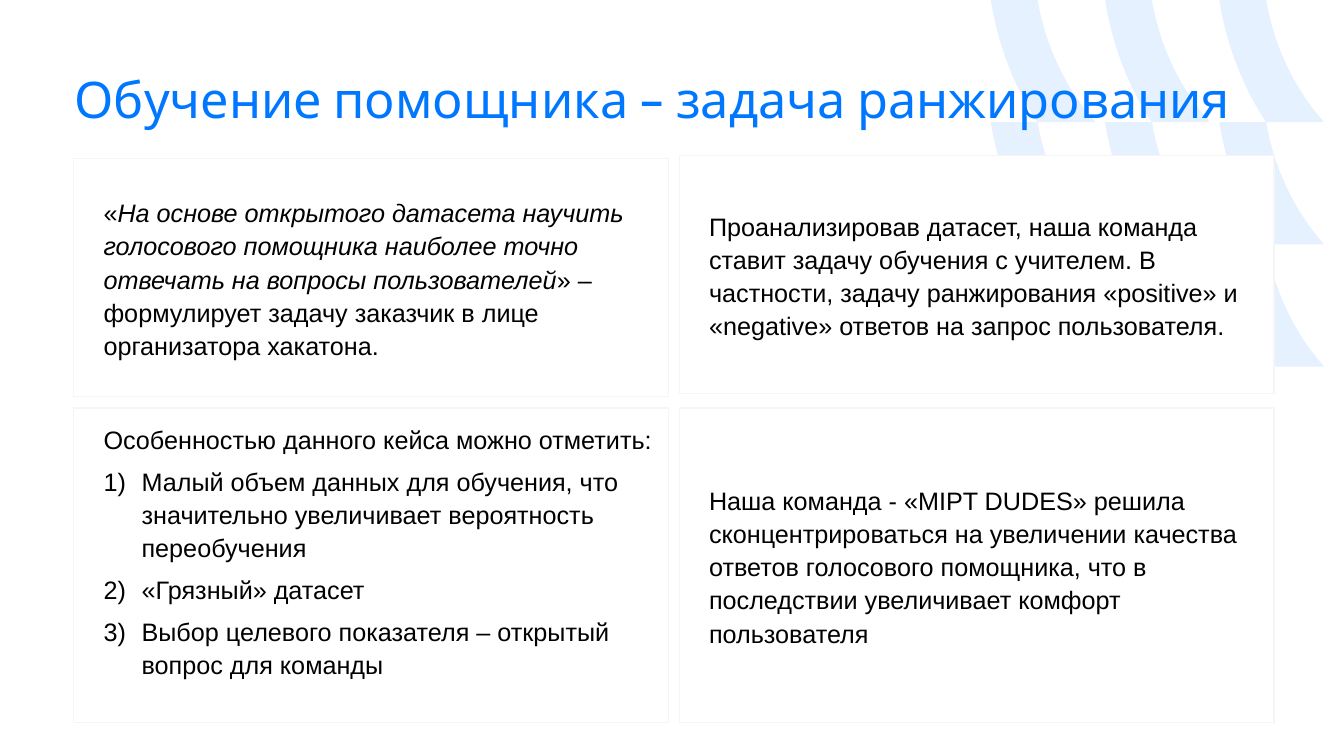
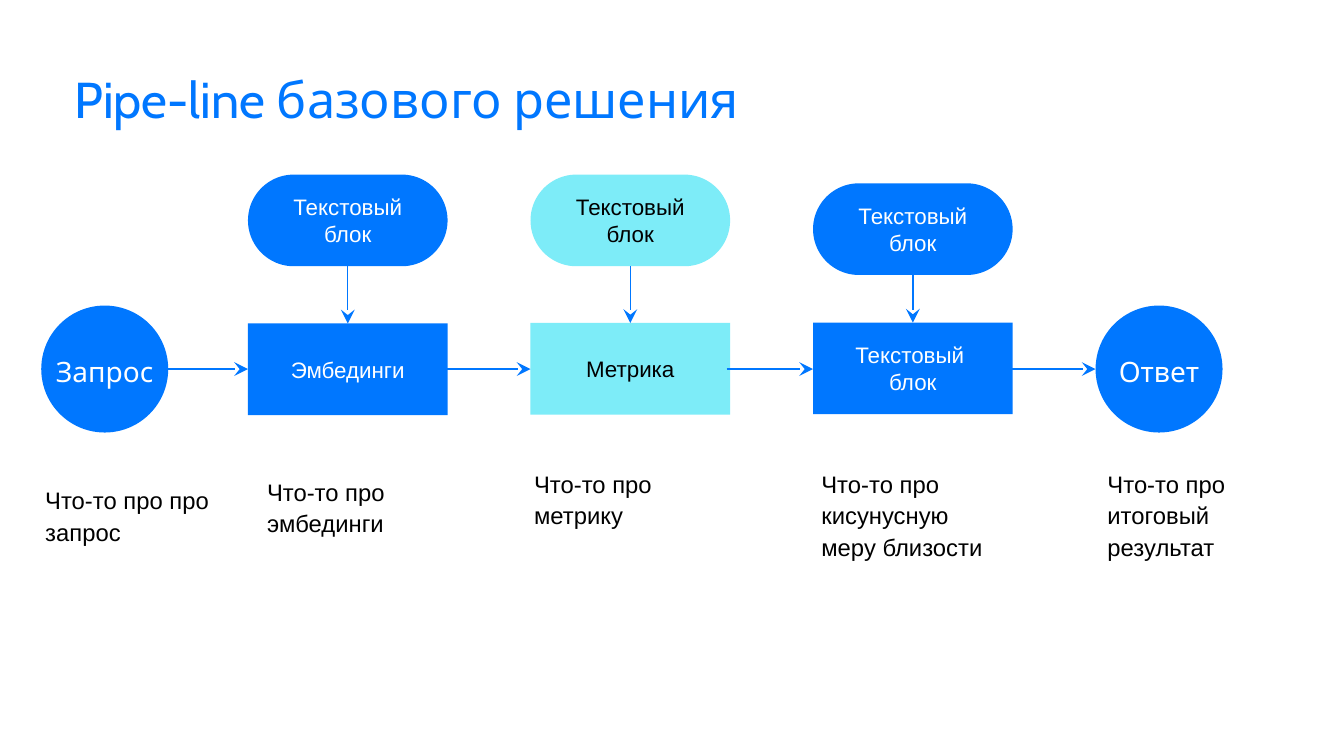
"""Build two slides on training a voice assistant: the task and the pipeline."""
from dataclasses import dataclass
from typing import NamedTuple

from lxml.etree import SubElement
from pptx import Presentation
from pptx.dml.color import RGBColor
from pptx.enum.shapes import MSO_CONNECTOR as LINK, MSO_SHAPE as KIND
from pptx.enum.text import MSO_ANCHOR as ANCHOR, MSO_AUTO_SIZE as AUTO, PP_ALIGN as ALIGN
from pptx.oxml.ns import qn
from pptx.util import Cm, Pt

HUES = {"blue": "0077FF", "aqua": "7DECF8", "white": "FFFFFF", "black": "000000", "edge": "F5F5F5"}
HEAD, BODY = "Cabin", "Arial"
ROUND = KIND.ROUNDED_RECTANGLE


class Rect(NamedTuple):
    x: float
    y: float
    w: float
    h: float


class Style(NamedTuple):
    size: float
    font: str = BODY
    hue: str = "black"
    gap: float = 1.0
    after: float = 0
    align: ALIGN = ALIGN.LEFT


class Span(NamedTuple):
    text: str
    slant: bool = False
    fresh: bool = False


@dataclass
class Para:
    spans: list[Span]
    left: float = 0
    hang: float = 0
    number: bool = False


@dataclass
class Card:
    area: Rect
    paras: list[Para]


@dataclass
class Step:
    name: list[Span]
    hue: str
    ink: str
    top: float
    base: float


@dataclass
class Note:
    text: str
    area: Rect


TITLE = Style(36, HEAD, "blue", 0.9)
CARD = Style(18, gap=1.1, after=6)
NOTE = Style(17, gap=1.1, after=6)
PLAIN = (0.25, 0.13, 0.25, 0.13)
BAND_W, BAND_H = 2.88, 3.08
BAND = ((1.18, 0), (1.38, 1.17), (1.89, 2.23), (2.64, BAND_H),
        (1.18, BAND_H), (0.58, 2.18), (0.18, 1.12), (0, 0))
STEP_X, STEP_GAP, STEP_W, STEP_H = 6.25, 7.12, 5.03, 2.31
BALL_X, BALL_Y, BALL = 1.04, 7.7, 3.2
FLOW_Y = BALL_Y + BALL / 2


def color(name: str) -> RGBColor:
    """Return a named colour."""
    return RGBColor.from_string(HUES[name])


def write(frame, paras: list[Para], style: Style, inset=PLAIN, wrap: bool = True) -> None:
    """Fill a text frame with styled paragraphs."""
    frame.word_wrap = wrap
    (frame.margin_left, frame.margin_top,
     frame.margin_right, frame.margin_bottom) = map(Cm, inset)
    for i, para in enumerate(paras):
        line = frame.add_paragraph() if i else frame.paragraphs[0]
        props = line._p.get_or_add_pPr()
        props.set("marL", str(Cm(para.left)))
        props.set("indent", str(Cm(para.hang)))
        if para.number:
            SubElement(props, qn("a:buAutoNum"), type="arabicParenR")
        line.alignment = style.align
        line.line_spacing = style.gap
        line.space_after = Pt(style.after)
        for span in para.spans:
            if span.fresh:
                line.add_line_break()
            run = line.add_run()
            run.text = span.text
            font = run.font
            font.size, font.name, font.italic = Pt(style.size), style.font, span.slant
            font.color.rgb = color(style.hue)


def label(slide, area: Rect, paras: list[Para], style: Style, inset=PLAIN, grow: bool = True) -> None:
    """Add a text box."""
    frame = slide.shapes.add_textbox(*map(Cm, area)).text_frame
    write(frame, paras, style, inset)
    frame.auto_size = AUTO.SHAPE_TO_FIT_TEXT if grow else AUTO.NONE


def paint(shape, hue: str, edge: str = "") -> None:
    """Give a shape a flat fill and an optional edge."""
    shape.shadow.inherit = False
    shape.fill.solid()
    shape.fill.fore_color.rgb = color(hue)
    if edge:
        shape.line.color.rgb = color(edge)
        shape.line.width = Pt(1)
    else:
        shape.line.fill.background()


def block(slide, kind: KIND, area: Rect, hue: str, bend: float = 0, edge: str = ""):
    """Add a filled shape and return its text frame."""
    shape = slide.shapes.add_shape(kind, *map(Cm, area))
    paint(shape, hue, edge)
    if kind == ROUND:
        shape.adjustments[0] = bend
    shape.text_frame.vertical_anchor = ANCHOR.MIDDLE
    return shape.text_frame


def arrow(slide, x: float, y: float, to_x: float, to_y: float) -> None:
    """Draw a blue arrow."""
    link = slide.shapes.add_connector(LINK.STRAIGHT, *map(Cm, (x, y, to_x, to_y)))
    link.line.color.rgb = color("blue")
    link.line.width = Pt(1)
    SubElement(link.line._get_or_add_ln(), qn("a:tailEnd"), type="stealth", w="lg", len="lg")
    SubElement(link._element.spPr, qn("a:effectLst"))


def band(slide, x: float, y: float) -> None:
    """Draw one pale band with two curved sides."""
    spots = [(Cm(x + dx), Cm(y + dy)) for dx, dy in BAND]
    pen = slide.shapes.build_freeform(*spots[0])
    pen.add_line_segments(spots[1:], close=True)
    shape = pen.convert_to_shape()
    paint(shape, "blue")
    props = shape._element.spPr
    lines = list(props.iter(qn("a:lnTo")))
    for first in (0, 4):
        curve = props.makeelement(qn("a:cubicBezTo"), {})
        lines[first].addprevious(curve)
        for side in lines[first:first + 3]:
            curve.append(side[0])
            side.getparent().remove(side)
    tint = props.find(qn("a:solidFill")).find(qn("a:srgbClr"))
    SubElement(tint, qn("a:alpha"), val="10000")


def head(slide, title: str) -> None:
    """Add the slide title."""
    label(slide, Rect(1.88, 1.9, 30.15, 1.78), [Para([Span(title)])], TITLE, (0, 0, 0, 0), False)


def text(words: str) -> Para:
    """Return an indented card paragraph."""
    return Para([Span(words)], 0.5)


def item(words: str) -> Para:
    """Return a numbered paragraph."""
    return Para([Span(words)], 1.46, -0.96, True)


def task(slide) -> None:
    """Build the slide on the ranking task."""
    for col, rows in enumerate((2, 2, 3)):
        for row in range(rows):
            band(slide, 24.97 + col * BAND_W, row * BAND_H)
    left, right, wide = 1.86, 17.12, 14.99
    quote = Para([
        Span("«"),
        Span("На основе открытого датасета научить голосового помощника "
             "наиболее точно отвечать на вопросы пользователей", True),
        Span("» – формулирует задачу заказчик в лице организатора хакатона."),
    ], 0.5)
    cards = [
        Card(Rect(left, 4, wide, 5.99), [quote]),
        Card(Rect(left, 10.28, wide, 7.92), []),
        Card(Rect(right, 3.92, wide, 5.99), [text(
            "Проанализировав датасет, наша команда ставит задачу обучения с учителем. "
            "В частности, задачу ранжирования «positive» и «negative» ответов "
            "на запрос пользователя.")]),
        Card(Rect(right, 10.28, wide, 7.92), [text(
            "Наша команда - «MIPT DUDES» решила сконцентрироваться на увеличении "
            "качества ответов голосового помощника, что в последствии увеличивает "
            "комфорт пользователя")]),
    ]
    for card in cards:
        write(block(slide, ROUND, card.area, "white", edge="edge"), card.paras, CARD)
    head(slide, "Обучение помощника – задача ранжирования")
    label(slide, Rect(left, 10.49, wide, 7.8), [
        text("Особенностью данного кейса можно отметить:"),
        item("Малый объем данных для обучения, что значительно увеличивает "
             "вероятность переобучения"),
        item("«Грязный» датасет"),
        item("Выбор целевого показателя – открытый вопрос для команды"),
    ], CARD)


def flow(slide) -> None:
    """Build the slide with the pipeline."""
    head(slide, "Pipe-line базового решения")
    steps = [
        Step([Span("Эмбединги")], "blue", "white", 4.4, 8.15),
        Step([Span("Метрика")], "aqua", "black", 4.4, 8.14),
        Step([Span("Текстовый "), Span("блок", fresh=True)], "blue", "white", 4.62, 8.13),
    ]
    for i, step in enumerate(steps):
        x = STEP_X + i * STEP_GAP
        style = Style(16, hue=step.ink, align=ALIGN.CENTER)
        pill = block(slide, ROUND, Rect(x, step.top, STEP_W, STEP_H), step.hue, 0.5)
        write(pill, [Para([Span("Текстовый блок")])], style)
        base = block(slide, KIND.RECTANGLE, Rect(x, step.base, STEP_W, STEP_H), step.hue)
        write(base, [Para(step.name)], style)
        mid = x + STEP_W / 2
        arrow(slide, mid, step.top + STEP_H, mid, step.base)
    last = STEP_X + len(steps) * STEP_GAP
    ball = Style(20, HEAD, "white", 0.6, align=ALIGN.CENTER)
    for x, name in ((BALL_X, "Запрос"), (last, "Ответ")):
        frame = block(slide, ROUND, Rect(x, BALL_Y, BALL, BALL), "blue", 0.5)
        write(frame, [Para([Span(name)])], ball, (0.25, 0.51, 0.25, 0.13), False)
    arrow(slide, BALL_X + BALL, FLOW_Y, STEP_X, FLOW_Y)
    for i in range(1, len(steps) + 1):
        x = STEP_X + i * STEP_GAP
        arrow(slide, x - 2.18, FLOW_Y, x, FLOW_Y)
    wide = 4.93
    notes = [
        Note("Что-то про про запрос", Rect(1.04, 12.07, wide, 1.8)),
        Note("Что-то про эмбединги", Rect(6.63, 11.86, wide, 1.8)),
        Note("Что-то про метрику", Rect(13.36, 11.66, wide, 1.73)),
        Note("Что-то про кисунусную меру близости", Rect(20.6, 11.66, wide, 2.59)),
        Note("Что-то про итоговый результат", Rect(27.81, 11.66, wide, 2.59)),
    ]
    for note in notes:
        label(slide, note.area, [Para([Span(note.text)])], NOTE, (0.1,) * 4)


def main() -> None:
    """Build and save the deck."""
    deck = Presentation()
    deck.slide_width, deck.slide_height = Cm(33.87), Cm(19.05)
    for build in (task, flow):
        build(deck.slides.add_slide(deck.slide_layouts[6]))
    deck.save("out.pptx")


if __name__ == "__main__":
    main()
